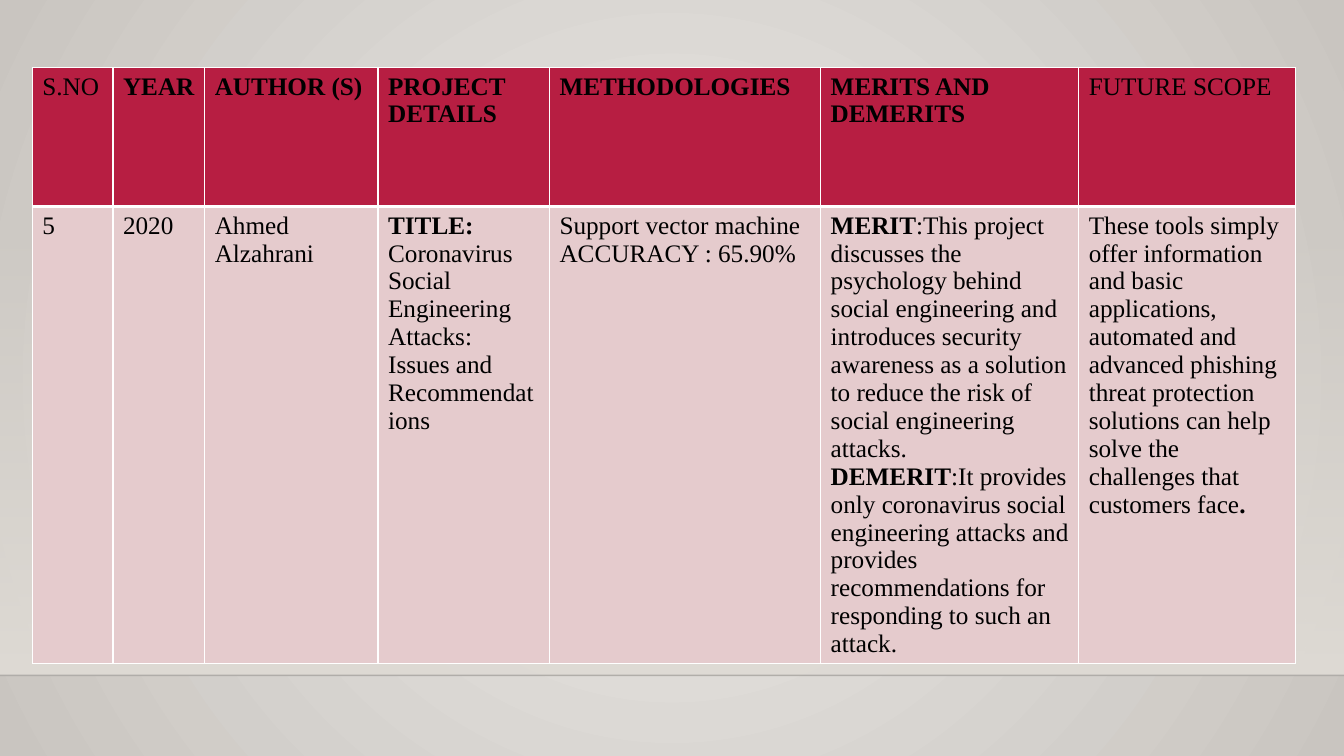
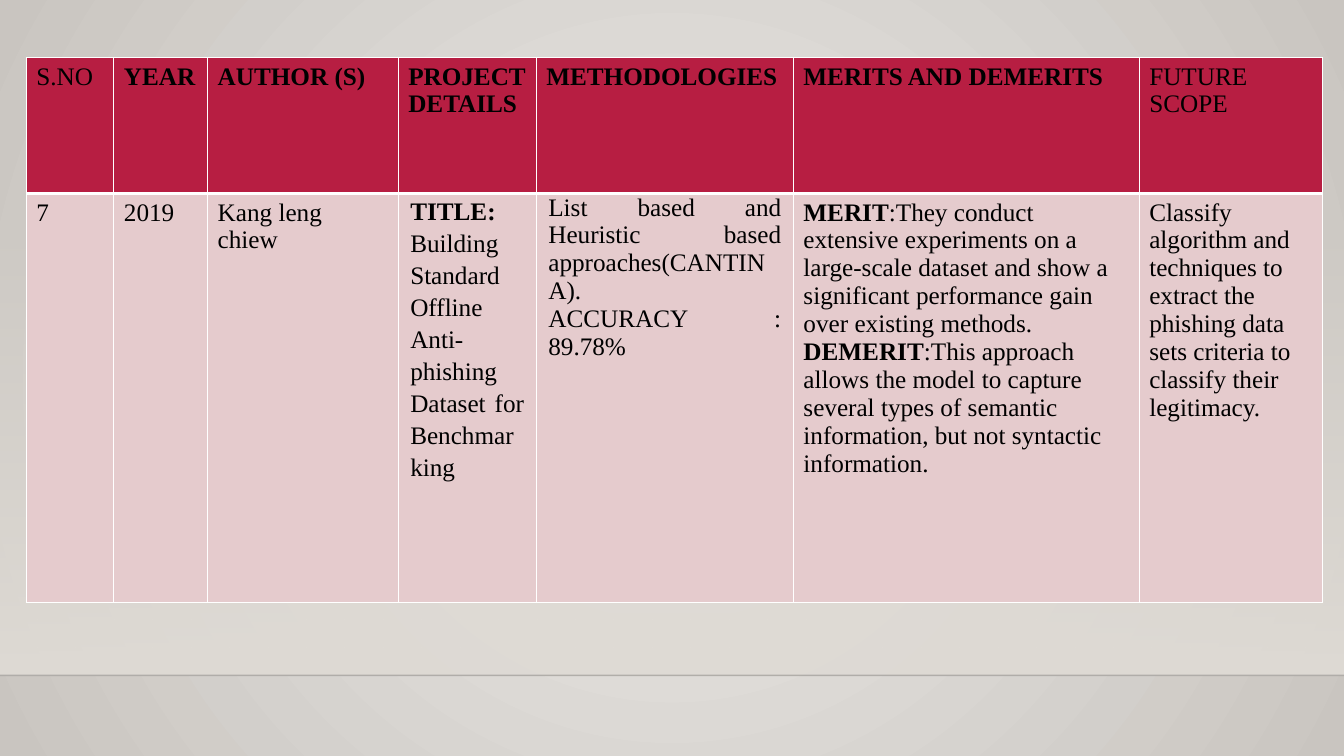
from dataclasses import dataclass

from lxml import etree
from pptx import Presentation
from pptx.dml.color import RGBColor
from pptx.enum.shapes import MSO_CONNECTOR, MSO_SHAPE
from pptx.enum.text import PP_ALIGN
from pptx.oxml.ns import qn
from pptx.util import Inches, Pt

RECTANGLE = MSO_SHAPE.RECTANGLE
STRAIGHT = MSO_CONNECTOR.STRAIGHT
JUSTIFY = PP_ALIGN.JUSTIFY


@dataclass(frozen=True)
class Theme:
    font: str = "Times New Roman"
    size: int = 18
    text: str = "000000"
    header: str = "B71E42"
    body: str = "E5CBCD"
    border: str = "FFFFFF"
    thin: int = 1
    thick: int = 3
    glow: str = "EBE9E6"
    edge: str = "C9C5C0"
    wall: str = "DFDBD5"
    floor_line: str = "000001"


THEME = Theme()
WIDTH, HEIGHT = 13.33, 7.5
WALL_TOP, FLOOR = 2.21, 6.7
BLANK_LAYOUT = 6

# Asterisks enclose bold text
HEADERS = ["S.NO", "*YEAR*", "*AUTHOR (S)*", "*PROJECT DETAILS*",
           "*METHODOLOGIES*", "*MERITS AND DEMERITS*", "FUTURE SCOPE"]


@dataclass(frozen=True)
class Survey:
    left: float
    top: float
    columns: tuple
    rows: tuple
    entries: tuple            # one tuple of paragraphs per column
    justified: tuple = ()     # (column, line spacing) pairs


SURVEYS = [
    Survey(
        0.32, 0.67, (0.8, 0.91, 1.72, 1.7, 2.69, 2.56, 2.15), (1.38, 4.13),
        (
            ("5",),
            ("2020",),
            ("Ahmed Alzahrani",),
            ("*TITLE:*",
             "Coronavirus Social Engineering Attacks: Issues and "
             "Recommendations"),
            ("Support vector machine", "ACCURACY : 65.90%"),
            ("*MERIT*:This project discusses the psychology behind social "
             "engineering and introduces security awareness as a solution to "
             "reduce the risk of social engineering attacks.",
             "*DEMERIT*:It provides only coronavirus social engineering "
             "attacks and provides recommendations for responding to such "
             "an attack."),
            ("These tools simply offer information and basic applications, "
             "automated and advanced phishing threat protection solutions "
             "can help solve the challenges that customers face*.*",),
        ),
    ),
    Survey(
        0.26, 0.57, (0.87, 0.93, 1.89, 1.37, 2.55, 3.43, 1.82), (1.35, 4.06),
        (
            ("7",),
            ("2019",),
            ("Kang leng chiew",),
            ("*TITLE:*",
             "Building Standard Offline Anti-phishing Dataset for "
             "Benchmarking"),
            ("List based and Heuristic based approaches(CANTINA).",
             "ACCURACY : 89.78%"),
            ("*MERIT*:They conduct extensive experiments on a large-scale "
             "dataset and show a significant performance gain over existing "
             "methods.",
             "*DEMERIT*:This approach allows the model to capture several "
             "types of semantic information, but not syntactic "
             "information."),
            ("Classify algorithm and techniques to extract the phishing data "
             "sets criteria to classify their legitimacy.",),
        ),
        ((3, 1.15), (4, 1.0)),
    ),
]


def rgb(color):
    return RGBColor.from_string(color)


def set_gradient(fill, start, end):
    fill.gradient()
    for stop, color in zip(fill.gradient_stops, (start, end)):
        stop.color.rgb = rgb(color)


def set_alpha(element, percent):
    """Set the opacity of the first colour inside the element."""
    color = next(element.iter(qn("a:srgbClr")))
    etree.SubElement(color, qn("a:alpha")).set("val", str(percent * 1000))


# Shared background, wall and floor line
def set_background(master):
    set_gradient(master.background.fill, THEME.glow, THEME.edge)
    grad = next(master.element.iter(qn("p:bgPr"))).find(qn("a:gradFill"))
    grad.remove(grad.find(qn("a:lin")))
    circle = etree.SubElement(grad, qn("a:path"))
    circle.set("path", "circle")
    center = etree.SubElement(circle, qn("a:fillToRect"))
    for side in "ltrb":
        center.set(side, "50000")


def add_wall(slide):
    sp = slide.shapes.add_shape(RECTANGLE, 0, Inches(WALL_TOP), Inches(WIDTH),
                                Inches(FLOOR - WALL_TOP))
    sp.shadow.inherit = False
    sp.line.fill.background()
    set_gradient(sp.fill, THEME.wall, THEME.wall)
    sp.fill.gradient_angle = 270
    set_alpha(sp.element.spPr, 0)
    return sp


def add_floor_line(slide):
    line = slide.shapes.add_connector(STRAIGHT, 0, Inches(FLOOR),
                                      Inches(WIDTH), Inches(FLOOR))
    line.line.color.rgb = rgb(THEME.floor_line)
    line.line.width = Pt(1)
    set_alpha(line.element.spPr, 20)
    etree.SubElement(line.element.spPr, qn("a:effectLst"))
    return line


def move_to_layout(layout, shapes):
    for ph in list(layout.placeholders):
        layout.shapes.element.remove(ph.element)
    for sp in shapes:
        layout.shapes.element.append(sp.element)


# Table cells
def set_borders(cell, **widths):
    tcPr = cell._tc.get_or_add_tcPr()
    for i, (side, width) in enumerate(widths.items()):
        ln = etree.Element(qn(f"a:ln{side}"), w=str(Pt(width)))
        fill = etree.SubElement(ln, qn("a:solidFill"))
        etree.SubElement(fill, qn("a:srgbClr")).set("val", THEME.border)
        tcPr.insert(i, ln)


def write_paragraph(p, text):
    for i, part in enumerate(text.split("*")):
        if part:
            r = p.add_run()
            r.text = part
            r.font.name = THEME.font
            r.font.size = Pt(THEME.size)
            r.font.color.rgb = rgb(THEME.text)
            r.font.bold = i % 2 == 1


def fill_cell(cell, paragraphs, color, top, bottom):
    cell.fill.solid()
    cell.fill.fore_color.rgb = rgb(color)
    set_borders(cell, L=THEME.thin, R=THEME.thin, T=top, B=bottom)
    cell.margin_left = cell.margin_right = Inches(0.1)
    cell.margin_top = cell.margin_bottom = Inches(0.05)
    tf = cell.text_frame
    for i, text in enumerate(paragraphs):
        p = tf.add_paragraph() if i else tf.paragraphs[0]
        write_paragraph(p, text)


def justify_cell(cell, spacing):
    cell.margin_left = cell.margin_right = Inches(0.12)
    cell.margin_top = cell.margin_bottom = 0
    for p in cell.text_frame.paragraphs:
        p.alignment = JUSTIFY
        p.line_spacing = spacing


def add_survey_table(slide, survey):
    table = slide.shapes.add_table(
        len(survey.rows), len(survey.columns),
        Inches(survey.left), Inches(survey.top),
        Inches(sum(survey.columns)), Inches(sum(survey.rows))).table
    table.horz_banding = False
    for column, width in zip(table.columns, survey.columns):
        column.width = Inches(width)
    for row, height in zip(table.rows, survey.rows):
        row.height = Inches(height)
    for i, (header, entry) in enumerate(zip(HEADERS, survey.entries)):
        fill_cell(table.cell(0, i), [header], THEME.header,
                  THEME.thin, THEME.thick)
        fill_cell(table.cell(1, i), entry, THEME.body,
                  THEME.thick, THEME.thin)
    for i, spacing in survey.justified:
        justify_cell(table.cell(1, i), spacing)


def main():
    prs = Presentation()
    prs.slide_width, prs.slide_height = Inches(WIDTH), Inches(HEIGHT)
    layout = prs.slide_layouts[BLANK_LAYOUT]
    set_background(prs.slide_master)
    slides = [prs.slides.add_slide(layout) for _ in SURVEYS]
    move_to_layout(layout, [add_wall(slides[0]), add_floor_line(slides[0])])
    for slide, survey in zip(slides, SURVEYS):
        add_survey_table(slide, survey)
    prs.save("out.pptx")


if __name__ == "__main__":
    main()
